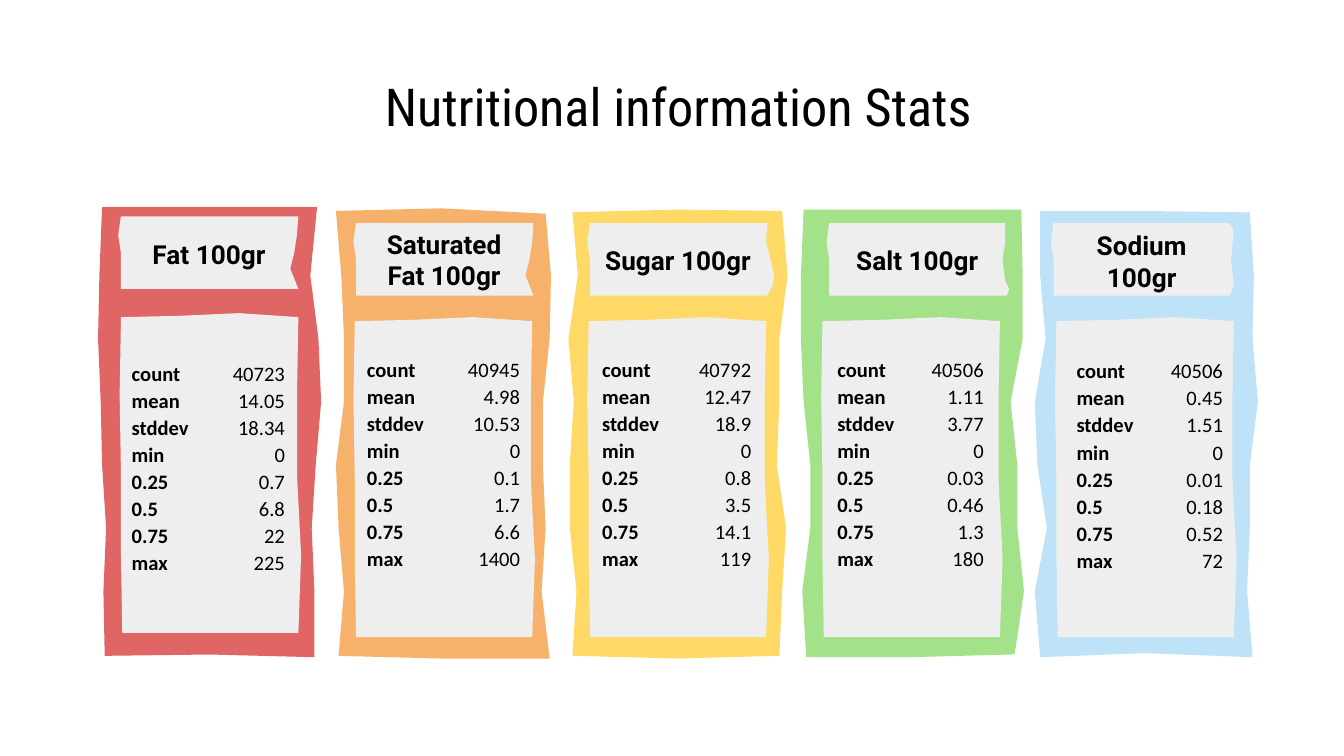
from dataclasses import dataclass

from pptx import Presentation
from pptx.dml.color import RGBColor
from pptx.enum.text import MSO_ANCHOR, PP_ALIGN
from pptx.oxml.ns import qn
from pptx.util import Inches, Pt

BLACK = RGBColor(0x00, 0x00, 0x00)
PAPER = RGBColor(0xEE, 0xEE, 0xEE)
RED = RGBColor(0xE0, 0x66, 0x66)
ORANGE = RGBColor(0xF6, 0xB2, 0x6B)
YELLOW = RGBColor(0xFF, 0xD9, 0x66)
GREEN = RGBColor(0xA4, 0xE2, 0x89)
BLUE = RGBColor(0xBE, 0xE3, 0xF8)

SLIDE_WIDTH = Inches(10)
SLIDE_HEIGHT = SLIDE_WIDTH * 9 // 16

# Column grid and the rows at which a card's ragged sides bend, in inches
FIRST_COLUMN, COLUMN_PITCH = 0.73, 1.74
FIRST_BEND, BEND_PITCH = 2.05, 0.47

TITLE_FONT = {"name": "Roboto Condensed", "size": Pt(28), "bold": False}
LABEL_FONT = {"name": "Roboto", "size": Pt(14), "bold": True}
STAT_FONT = {"name": "Calibri", "size": Pt(11), "bold": True}
VALUE_FONT = STAT_FONT | {"bold": False}
CELL_MARGINS = {"margin_left": 0.01, "margin_right": 0.01,
                "margin_top": 0.01, "margin_bottom": 0}
NO_TABLE_STYLE = "{2D5ABB26-0587-4C30-8999-92F81FD0307C}"

STATS = ("count", "mean", "stddev", "min", "0.25", "0.5", "0.75", "max")

# Outlines relative to the top left corner of each panel
LABEL_LEFT = [(0.02, 0.54), (0.02, 0.27), (0, 0.14), (0.02, 0)]
NOTCHED = [(1.34, 0), (1.33, 0.14), (1.31, 0.27), (1.28, 0.39), (1.34, 0.54)]
BULGING = [(1.34, 0), (1.33, 0.14), (1.36, 0.26), (1.39, 0.39), (1.38, 0.46), (1.34, 0.54)]
HOOKED = [(1.33, 0), (1.33, 0.14), (1.31, 0.27), (1.33, 0.43), (1.36, 0.49), (1.34, 0.54)]
ROUNDED = [(1.33, 0), (1.36, 0.06), (1.34, 0.28), (1.36, 0.47), (1.33, 0.54)]
BODY = [(0.01, 0.03), (0.45, 0.02), (0.89, 0), (1.33, 0.03), (1.32, 0.61),
        (1.32, 1.2), (1.35, 1.8), (1.33, 2.38), (0.02, 2.38), (0.01, 1.8),
        (0.01, 1.2), (0, 0.61)]


@dataclass
class Nutrient:
    """One card; left and right are its side bends, top and bottom its edge heights."""
    label: str
    values: tuple
    color: RGBColor
    left: tuple
    right: tuple
    top: tuple
    bottom: tuple
    label_edge: list
    label_at: tuple
    text_top: float
    body_top: float
    table_at: tuple
    table_columns: tuple


NUTRIENTS = [
    Nutrient("Fat 100gr", ("40723", "14.05", "18.34", "0", "0.7", "6.8", "22", "225"), RED,
             (0.03, 0.01, 0, 0.02, 0.03, 0.06, 0.04, 0.05),
             (1.63, 1.58, 1.64, 1.66, 1.62, 1.59, 1.61, 1.61),
             (1.54, 1.54, 1.54), (4.88, 4.87, 4.89),
             NOTCHED, (0.15, 1.61), 1.67, 2.33, (0.24, 2.68), (0.58, 0.58)),
    Nutrient("Saturated Fat 100gr",
             ("40945", "4.98", "10.53", "0", "0.1", "1.7", "6.6", "1400"), ORANGE,
             (0.03, 0.07, 0.09, 0.09, 0.03, 0.05, 0.09, 0.05),
             (1.59, 1.63, 1.62, 1.57, 1.57, 1.59, 1.56, 1.62),
             (1.57, 1.55, 1.59), (4.88, 4.9, 4.9),
             NOTCHED, (0.16, 1.66), 1.6, 2.36, (0.25, 2.65), (0.58, 0.58)),
    Nutrient("Sugar 100gr", ("40792", "12.47", "18.9", "0", "0.8", "3.5", "14.1", "119"), YELLOW,
             (0.05, 0.09, 0.02, 0.06, 0.03, 0.03, 0.08, 0.05),
             (1.61, 1.65, 1.59, 1.59, 1.57, 1.64, 1.61, 1.59),
             (1.58, 1.56, 1.57), (4.88, 4.9, 4.88),
             BULGING, (0.16, 1.66), 1.72, 2.36, (0.26, 2.65), (0.67, 0.46)),
    Nutrient("Salt 100gr", ("40506", "1.11", "3.77", "0", "0.03", "0.46", "1.3", "180"), GREEN,
             (0.03, 0.01, 0.01, 0.03, 0.08, 0.08, 0.02, 0.05),
             (1.65, 1.66, 1.66, 1.57, 1.62, 1.62, 1.67, 1.6),
             (1.56, 1.56, 1.56), (4.89, 4.89, 4.87),
             HOOKED, (0.2, 1.66), 1.72, 2.36, (0.27, 2.65), (0.67, 0.44)),
    Nutrient("Sodium 100gr", ("40506", "0.45", "1.51", "0", "0.01", "0.18", "0.52", "72"), BLUE,
             (0.05, 0.05, 0.09, 0.01, 0.03, 0.1, 0.01, 0.05),
             (1.61, 1.64, 1.63, 1.67, 1.61, 1.61, 1.59, 1.63),
             (1.57, 1.57, 1.58), (4.89, 4.86, 4.89),
             ROUNDED, (0.13, 1.66), 1.61, 2.36, (0.31, 2.66), (0.67, 0.44)),
]


def write(frame, wording, font_format, align):
    paragraph = frame.paragraphs[0]
    paragraph.alignment = align
    run = paragraph.add_run()
    run.text = wording
    for key, value in font_format.items():
        setattr(run.font, key, value)
    run.font.color.rgb = BLACK
    return paragraph


def add_outline(slide, points, left, top, color):
    corners = [(Inches(left + x), Inches(top + y)) for x, y in points]
    builder = slide.shapes.build_freeform(*corners[0])
    builder.add_line_segments(corners[1:], close=True)
    panel = builder.convert_to_shape()
    panel.shadow.inherit = False
    panel.fill.solid()
    panel.fill.fore_color.rgb = color
    panel.line.fill.background()


def card_points(nutrient):
    bends = [FIRST_BEND + BEND_PITCH * row for row in range(6)]
    left_side = list(zip(nutrient.left, [nutrient.top[0], *bends, nutrient.bottom[0]]))
    right_side = list(zip(nutrient.right, [nutrient.top[2], *bends, nutrient.bottom[2]]))
    middle = (nutrient.left[0] + nutrient.right[0]) / 2
    return [(middle, nutrient.top[1]), *right_side,
            (middle, nutrient.bottom[1]), *reversed(left_side)]


def add_label(slide, nutrient, column):
    offset, top = nutrient.label_at
    left = column + offset
    add_outline(slide, nutrient.label_edge + LABEL_LEFT, left, top, PAPER)
    label = slide.shapes.add_textbox(Inches(left - 0.01), Inches(nutrient.text_top),
                                     Inches(1.37), Inches(0.41))
    frame = label.text_frame
    frame.word_wrap = True
    for side in ("left", "right", "top", "bottom"):
        setattr(frame, f"margin_{side}", Inches(0.1))
    write(frame, nutrient.label, LABEL_FONT, PP_ALIGN.CENTER).space_after = Pt(16)


def add_stats(slide, nutrient, column):
    offset, top = nutrient.table_at
    widths = nutrient.table_columns
    table = slide.shapes.add_table(len(STATS), 2, Inches(column + offset), Inches(top),
                                   Inches(sum(widths)), Inches(1.61)).table
    table.first_row = table.horz_banding = False
    table._tbl.tblPr.find(qn("a:tableStyleId")).text = NO_TABLE_STYLE
    for table_column, width in zip(table.columns, widths):
        table_column.width = Inches(width)
    formats = ((STAT_FONT, PP_ALIGN.LEFT), (VALUE_FONT, PP_ALIGN.RIGHT))
    for row, entries in zip(table.rows, zip(STATS, nutrient.values)):
        for cell, entry, (font_format, align) in zip(row.cells, entries, formats):
            cell.fill.background()
            cell.vertical_anchor = MSO_ANCHOR.BOTTOM
            for margin, inches in CELL_MARGINS.items():
                setattr(cell, margin, Inches(inches))
            write(cell.text_frame, entry, font_format, align)


def add_card(slide, nutrient, column):
    add_outline(slide, card_points(nutrient), column, 0, nutrient.color)
    add_label(slide, nutrient, column)
    add_outline(slide, BODY, column + 0.16, nutrient.body_top, PAPER)
    add_stats(slide, nutrient, column)


def add_title(slide, wording):
    title = slide.shapes.title
    box = {"left": 2.7, "top": 0.52, "width": 4.69, "height": 0.53}
    for key, inches in box.items():
        setattr(title, key, Inches(inches))
    title.text_frame.vertical_anchor = MSO_ANCHOR.MIDDLE
    write(title.text_frame, wording, TITLE_FONT, PP_ALIGN.CENTER)


def main():
    deck = Presentation()
    deck.slide_width, deck.slide_height = SLIDE_WIDTH, SLIDE_HEIGHT
    slide = deck.slides.add_slide(deck.slide_layouts[5])
    add_title(slide, "Nutritional information Stats")
    for index, nutrient in enumerate(NUTRIENTS):
        add_card(slide, nutrient, FIRST_COLUMN + COLUMN_PITCH * index)
    deck.save("out.pptx")


if __name__ == "__main__":
    main()
